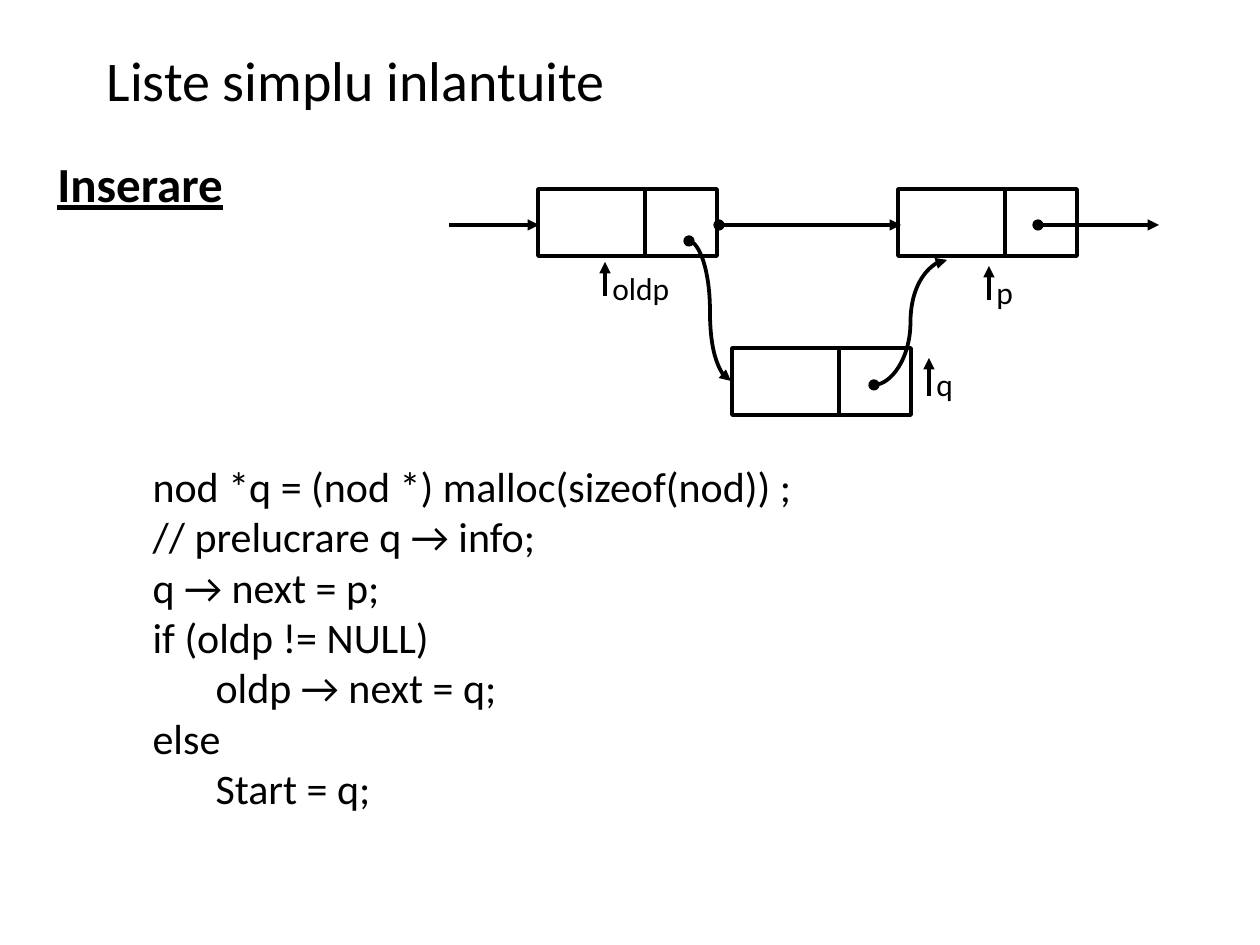
from dataclasses import dataclass

from pptx import Presentation
from pptx.dml.color import RGBColor
from pptx.enum.shapes import MSO_CONNECTOR as Link, MSO_SHAPE as Shape
from pptx.enum.text import MSO_ANCHOR as Anchor, MSO_AUTO_SIZE as Fit, PP_ALIGN as Align
from pptx.oxml.ns import qn
from pptx.util import Emu, Pt


@dataclass(frozen=True)
class Theme:
    font: str = "Calibri"
    ink: RGBColor = RGBColor(0, 0, 0)
    title: int = 32
    head: int = 28
    code: int = 24
    label: int = 18
    line: float = 2.15


def px(*vals):
    return [Emu(round(v * 914400 / 126)) for v in vals]


class Board:
    def __init__(self, slide, theme):
        self.slide, self.theme = slide, theme

    def fill_text(self, shape, lines, size, anchor=Anchor.TOP, wrap=True, bold=False):
        frame = shape.text_frame
        frame.text = "\n".join(lines)
        frame.word_wrap, frame.auto_size = wrap, Fit.NONE
        frame.vertical_anchor = anchor
        for para in frame.paragraphs:
            para.alignment = Align.LEFT
            para.space_before = Pt(0)
            font = para.font
            font.name, font.size = self.theme.font, Pt(size)
            font.color.rgb = self.theme.ink
            font.bold = font.underline = bold
        return frame

    def place(self, shape, *box):
        shape.left, shape.top, shape.width, shape.height = px(*box)
        return shape

    def title(self, text, *box):
        shape = self.place(self.slide.shapes.title, *box)
        self.fill_text(shape, [text], self.theme.title, Anchor.MIDDLE)

    def code(self, lines, *box):
        shape = self.place(self.slide.placeholders[1], *box)
        for para in self.fill_text(shape, lines, self.theme.code).paragraphs:
            props = para._p.get_or_add_pPr()
            props.set("marL", "0")
            props.set("indent", "0")
            mark = props.makeelement(qn("a:buNone"), {})
            props.find(qn("a:defRPr")).addprevious(mark)

    def head(self, text, *box):
        shape = self.slide.shapes.add_textbox(*px(*box))
        self.fill_text(shape, [text], self.theme.head, Anchor.MIDDLE, bold=True)

    def label(self, text, *box):
        shape = self.slide.shapes.add_textbox(*px(*box))
        self.fill_text(shape, [text], self.theme.label, wrap=False)

    def stroke(self, line):
        line.color.rgb = self.theme.ink
        line.width = Pt(self.theme.line)

    def node(self, left, top):
        info, link, high = 107, 72, 67
        for x, wide in ((left, info), (left + info, link)):
            cell = self.slide.shapes.add_shape(Shape.RECTANGLE, *px(x, top, wide, high))
            cell.shadow.inherit = False
            cell.fill.background()
            self.stroke(cell.line)

    def arrow(self, *ends, kind=Link.STRAIGHT, dot=False):
        link = self.slide.shapes.add_connector(kind, *px(*ends))
        self.stroke(link.line)
        props = link._element.spPr
        line = props.find(qn("a:ln"))
        if dot:
            line.append(line.makeelement(qn("a:headEnd"), {"type": "oval"}))
        line.append(line.makeelement(qn("a:tailEnd"), {"type": "triangle"}))
        props.append(props.makeelement(qn("a:effectLst"), {}))


def main():
    deck = Presentation()
    deck.slide_width, deck.slide_height = px(1260, 945)
    board = Board(deck.slides.add_slide(deck.slide_layouts[1]), Theme())

    board.title("Liste simplu inlantuite", 94, 43, 1070, 72)
    board.head("Inserare", 45, 147, 396, 72)
    board.code([
        "nod *q = (nod *) malloc(sizeof(nod)) ;",
        "// prelucrare q → info;",
        "q → next = p;",
        "if (oldp != NULL)",
        "\toldp → next = q;",
        "else",
        "\tStart = q;",
    ], 140, 454, 874, 364)

    for left, top in ((538, 189), (898, 189), (732, 348)):
        board.node(left, top)

    row = 225
    for start, end, dot in ((449, 539, False), (719, 901, True), (1038, 1159, True)):
        board.arrow(start, row, end, row, dot=dot)

    for name, x, low, tip, wide in (
        ("oldp", 605, 296, 262, 113),
        ("p", 989, 300, 266, 42),
        ("q", 929, 396, 358, 39),
    ):
        board.arrow(x, low, x, tip)
        board.label(name, x - 5, tip + 1, wide, 43)

    for ends in ((874, 385, 947, 260), (689, 241, 731, 381)):
        board.arrow(*ends, kind=Link.CURVE, dot=True)

    deck.save("out.pptx")


if __name__ == "__main__":
    main()
